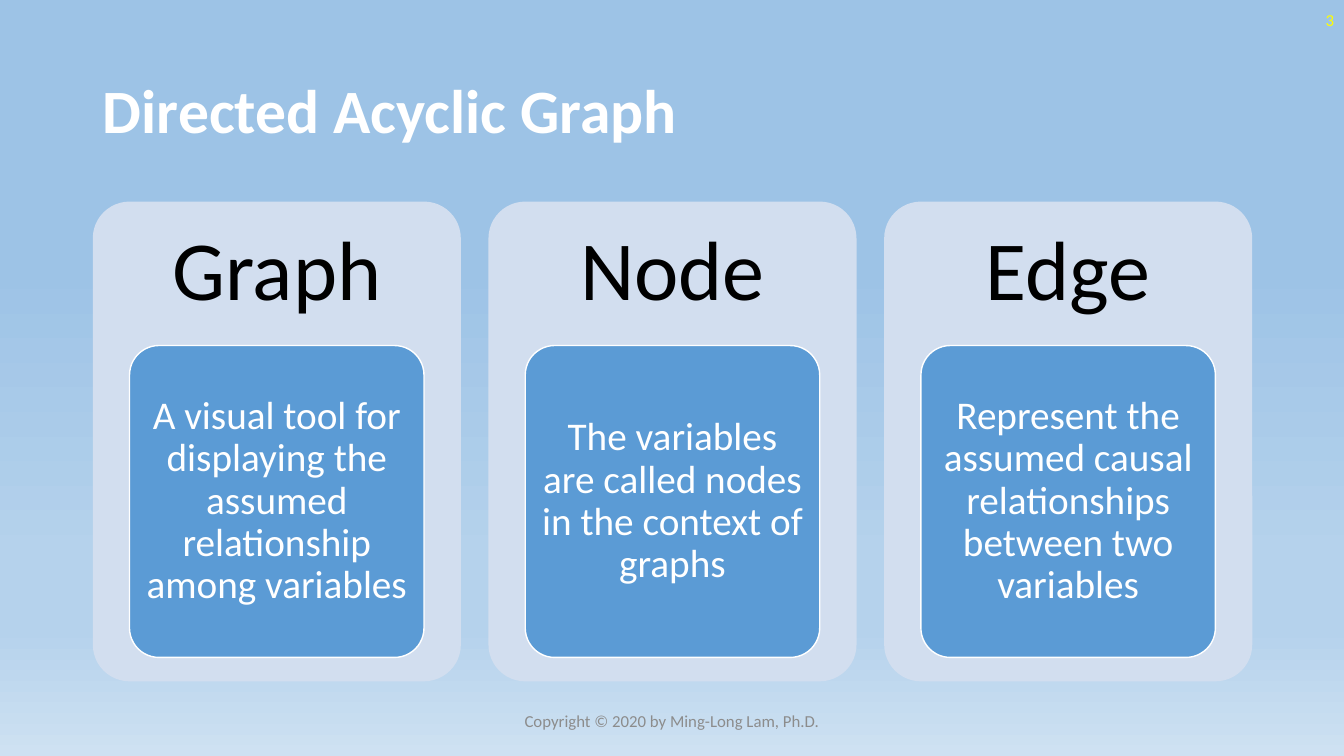
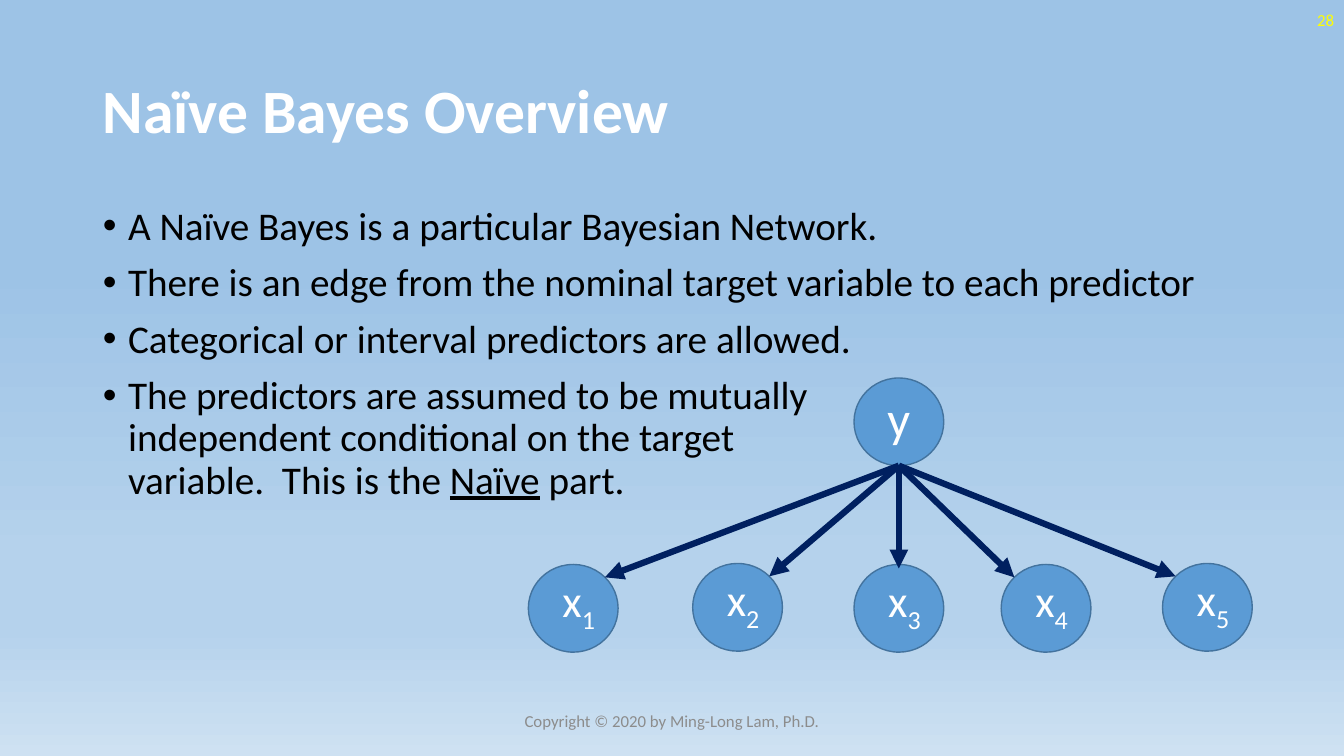
from copy import deepcopy

from pptx import Presentation
from pptx.dml.color import RGBColor
from pptx.enum.shapes import MSO_CONNECTOR, MSO_SHAPE
from pptx.enum.text import MSO_ANCHOR as Anchor, MSO_AUTO_SIZE, PP_ALIGN as Align
from pptx.oxml.ns import qn
from pptx.oxml.xmlchemy import OxmlElement
from pptx.util import Inches, Pt

# Shared look
COLORS = {name: RGBColor.from_string(value) for name, value in {
    "sky": "9DC3E6", "mist": "B5D2EC", "haze": "CEE1F2",
    "card": "D2DEEF", "blue": "5B9BD5", "outline": "43739E", "navy": "002060",
    "white": "FFFFFF", "black": "000000", "yellow": "FFFF00", "gray": "8C8C8C",
}.items()}
BACKGROUND = [(0.35, "sky"), (0.74, "mist"), (0.83, "mist"), (1, "haze")]
FONT = "Calibri"
WIDTH, HEIGHT = 13.33, 7.5
LEFT, TOP, CONTENT_WIDTH, CONTENT_HEIGHT = 0.92, 2, 11.5, 4.76
COPYRIGHT = "Copyright © 2020 by Ming-Long Lam, Ph.D."


def format_text(shape, size, color, align, anchor=Anchor.MIDDLE, spacing=1, bold=False):
    """Apply one text style to every paragraph and run of a shape."""
    frame = shape.text_frame
    frame.word_wrap = True
    frame.auto_size = MSO_AUTO_SIZE.NONE
    frame.vertical_anchor = anchor
    for paragraph in frame.paragraphs:
        paragraph.alignment = align
        paragraph.line_spacing = spacing
        for run in paragraph.runs:
            run.font.name = FONT
            run.font.size = Pt(size)
            run.font.bold = bold
            run.font.color.rgb = COLORS[color]


def add_box(slide, kind, left, top, width, height, text="", fill=None, line=None):
    """Add a preset shape, or a plain text box when kind is None."""
    place = [Inches(length) for length in (left, top, width, height)]
    if kind is None:
        box = slide.shapes.add_textbox(*place)
    else:
        box = slide.shapes.add_shape(kind, *place)
        box.shadow.inherit = False
        box.fill.solid()
        box.fill.fore_color.rgb = COLORS[fill]
        if line:
            box.line.color.rgb = COLORS[line]
            box.line.width = Pt(1)
        else:
            box.line.fill.background()
    box.text_frame.text = text
    return box


presentation = Presentation()
presentation.slide_width, presentation.slide_height = Inches(WIDTH), Inches(HEIGHT)

# Background on the master
master = presentation.slide_master
background = master.background.fill
background.gradient()
background.gradient_angle = 270
stop_list = master.element.find(".//" + qn("a:gsLst"))
while len(stop_list) < len(BACKGROUND):
    stop_list.append(deepcopy(stop_list[0]))
for stop, (position, color) in zip(background.gradient_stops, BACKGROUND):
    stop.position = position
    stop.color.rgb = COLORS[color]

# Title, number and copyright on each slide
slides = []
for title, number, layout in [("Directed Acyclic Graph", "3", 5),
                              ("Naïve Bayes Overview", "28", 1)]:
    slide = presentation.slides.add_slide(presentation.slide_layouts[layout])
    heading = slide.shapes.title
    heading.left, heading.top = Inches(LEFT), Inches(0.4)
    heading.width, heading.height = Inches(CONTENT_WIDTH), Inches(1.45)
    heading.text_frame.text = title
    format_text(heading, 44, "white", Align.LEFT, spacing=0.9, bold=True)
    page = add_box(slide, None, WIDTH - 3, 0, 3, 0.4, number)
    format_text(page, 12, "yellow", Align.RIGHT)
    footer = add_box(slide, None, (WIDTH - 4.5) / 2, 6.95, 4.5, 0.4, COPYRIGHT)
    format_text(footer, 12, "gray", Align.CENTER)
    slides.append(slide)
graph_slide, bayes_slide = slides

# Three definition cards, with a gap of 7.5% of a card
CARDS = [
    ("Graph", "A visual tool for displaying the assumed relationship among variables"),
    ("Node", "The variables are called nodes in the context of graphs"),
    ("Edge", "Represent the assumed causal relationships between two variables"),
]
GAP = 0.075
card_width = CONTENT_WIDTH / (len(CARDS) + GAP * (len(CARDS) - 1))
for column, (term, definition) in enumerate(CARDS):
    left = LEFT + column * card_width * (1 + GAP)
    card = add_box(graph_slide, MSO_SHAPE.ROUNDED_RECTANGLE,
                   left, TOP, card_width, CONTENT_HEIGHT, fill="card")
    label = add_box(graph_slide, None, left, TOP, card_width, 0.3 * CONTENT_HEIGHT, term)
    format_text(label, 60, "black", Align.CENTER, spacing=0.9)
    panel = add_box(graph_slide, MSO_SHAPE.ROUNDED_RECTANGLE,
                    left + 0.1 * card_width, TOP + 0.3 * CONTENT_HEIGHT,
                    0.8 * card_width, 0.65 * CONTENT_HEIGHT, definition, "blue", "white")
    format_text(panel, 28, "white", Align.CENTER, spacing=0.9)
    frame = panel.text_frame
    frame.margin_left = frame.margin_right = Inches(0.08)
    frame.margin_top = frame.margin_bottom = Inches(0.06)
    for shape in (card, panel):
        shape.adjustments[0] = 0.1

# Bulleted list
BULLETS = [
    ["A Naïve Bayes is a particular Bayesian Network."],
    ["There is an edge from the nominal target variable to each predictor"],
    ["Categorical or interval predictors are allowed."],
    ["The predictors are assumed to be mutually\vindependent conditional on the target"
     "\vvariable.  This is the ", "Naïve", " part."],
]
body = bayes_slide.placeholders[1]
body.left, body.top = Inches(LEFT), Inches(TOP)
body.width, body.height = Inches(CONTENT_WIDTH), Inches(CONTENT_HEIGHT)
for index, (first, *others) in enumerate(BULLETS):
    paragraphs = body.text_frame
    paragraph = paragraphs.add_paragraph() if index else paragraphs.paragraphs[0]
    paragraph.text = first
    properties = paragraph._p.get_or_add_pPr()
    properties.set("marL", str(Inches(0.25)))
    properties.set("indent", str(-Inches(0.25)))
    bullet = OxmlElement("a:buChar")
    bullet.set("char", "•")
    properties.append(bullet)
    paragraph.space_before = Pt(10 if index else 0)
    for text in others:
        run = paragraph.add_run()
        run.text = text
        run.font.underline = text == "Naïve"
format_text(body, 28, "black", Align.LEFT, Anchor.TOP, 0.9)

# Target node
NODE_WIDTH, NODE_HEIGHT = 0.89, 0.87
target_left, target_top = 8.47, 3.75
target = add_box(bayes_slide, MSO_SHAPE.OVAL, target_left, target_top,
                 NODE_WIDTH, NODE_HEIGHT, "y", "blue", "outline")
format_text(target, 36, "white", Align.CENTER, Anchor.BOTTOM)
start_x, start_y = target_left + NODE_WIDTH / 2, target_top + NODE_HEIGHT

# Predictor nodes, each reached by an arrow at the side facing the target
PREDICTORS = [(5.24, 5.6), (6.87, 5.59), (8.47, 5.6), (9.93, 5.6), (11.53, 5.59)]
DIAGONAL = 0.5 ** 0.5
for index, (left, top) in enumerate(PREDICTORS, start=1):
    node = add_box(bayes_slide, MSO_SHAPE.OVAL, left, top,
                   NODE_WIDTH, NODE_HEIGHT, "x", "blue", "outline")
    subscript = node.text_frame.paragraphs[0].add_run()
    subscript.text = str(index)
    subscript._r.get_or_add_rPr().set("baseline", "-25000")
    format_text(node, 32, "white", Align.RIGHT, Anchor.BOTTOM)

    end_x, end_y = left + NODE_WIDTH / 2, top + 0.04
    if left != target_left:
        side = 1 if left < target_left else -1
        end_x += side * DIAGONAL * NODE_WIDTH / 2
        end_y = top + (1 - DIAGONAL) * NODE_HEIGHT / 2
    arrow = bayes_slide.shapes.add_connector(
        MSO_CONNECTOR.STRAIGHT, *[Inches(n) for n in (start_x, start_y, end_x, end_y)])
    arrow.line.color.rgb = COLORS["navy"]
    arrow.line.width = Pt(4.5)
    arrowhead = OxmlElement("a:tailEnd")
    arrowhead.set("type", "triangle")
    arrow.line._get_or_add_ln().append(arrowhead)
    arrow._element.spPr.append(OxmlElement("a:effectLst"))

presentation.save("out.pptx")
